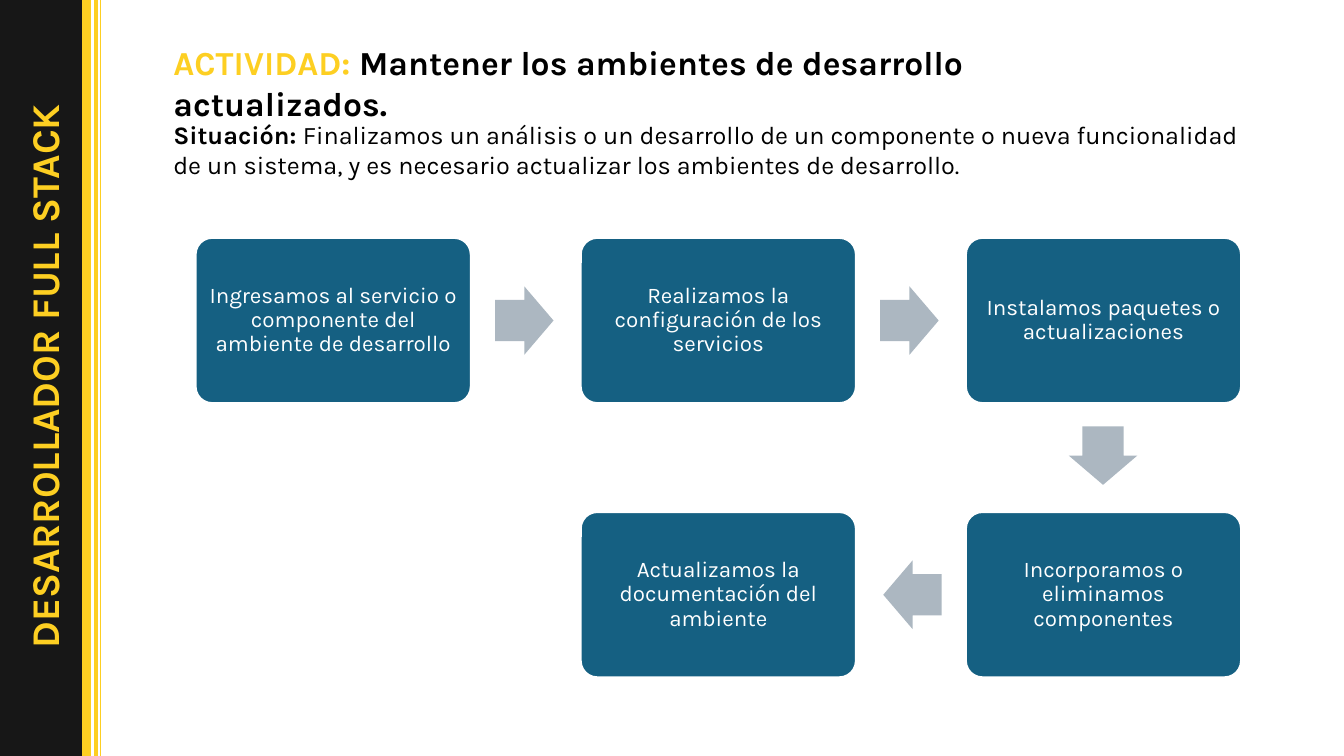
from pptx import Presentation
from pptx.dml.color import RGBColor
from pptx.enum.shapes import MSO_CONNECTOR, MSO_SHAPE
from pptx.enum.text import MSO_ANCHOR, MSO_AUTO_SIZE, PP_ALIGN
from pptx.oxml.ns import qn
from pptx.util import Inches, Pt
from lxml.etree import SubElement

FONT = "Karla"
COLORS = {
    "black": "000000",
    "white": "FFFFFF",
    "band": "171717",
    "yellow": "FDCF22",
    "step": "156082",
    "arrow": "ACB7C1",
}

# Step grid
GRID_LEFT, GRID_TOP = 1.94, 2.36
COLUMN_PITCH, ROW_PITCH = 3.82, 2.72
STEP_WIDTH, STEP_HEIGHT = 2.73, 1.64
ARROW_WIDTH, ARROW_HEIGHT = 0.58, 0.68

# Text, column, row
STEPS = [
    ("Ingresamos al servicio o componente del ambiente de desarrollo", 0, 0),
    ("Realizamos la configuración de los servicios", 1, 0),
    ("Instalamos paquetes o actualizaciones", 2, 0),
    ("Incorporamos o eliminamos componentes", 2, 1),
    ("Actualizamos la documentación del ambiente", 1, 1),
]

# Left, top, rotation
ARROWS = [(4.91, 2.84, 0), (8.73, 2.84, 0), (10.65, 4.18, 90), (8.76, 5.56, 180)]

# Horizontal position, width in points
STRIPES = [(0.86, 6), (0.95, 3), (1, 0.5)]


def color(name):
    return RGBColor.from_string(COLORS[name])


def style_font(font, size, color_name, bold=False):
    font.name = FONT
    font.size = Pt(size)
    font.bold = bold
    font.color.rgb = color(color_name)


def add_block(slide, kind, left, top, width, height, fill, line=None):
    shape = slide.shapes.add_shape(
        kind, Inches(left), Inches(top), Inches(width), Inches(height))
    shape.shadow.inherit = False
    shape.fill.solid()
    shape.fill.fore_color.rgb = color(fill)
    if line:
        shape.line.color.rgb = color(line)
        shape.line.width = Pt(1.5)
    else:
        shape.line.fill.background()
    return shape


def add_stripe(slide, x, width):
    stripe = slide.shapes.add_connector(
        MSO_CONNECTOR.STRAIGHT, Inches(x), Inches(0), Inches(x), Inches(7.5))
    stripe.line.color.rgb = color("yellow")
    stripe.line.width = Pt(width)
    SubElement(stripe._element.spPr, qn("a:effectLst"))


def add_text_box(slide, left, top, width, height):
    box = slide.shapes.add_textbox(
        Inches(left), Inches(top), Inches(width), Inches(height))
    box.text_frame.word_wrap = True
    return box


def add_runs(paragraph, size, runs):
    for text, color_name, bold in runs:
        run = paragraph.add_run()
        run.text = text
        style_font(run.font, size, color_name, bold)


def add_sidebar(slide):
    add_block(slide, MSO_SHAPE.RECTANGLE, 0, 0, 0.89, 7.5, "band", "band")
    for x, width in STRIPES:
        add_stripe(slide, x, width)
    label = add_text_box(slide, -3.06, 3.45, 7, 0.57)
    label.rotation = 270
    paragraph = label.text_frame.paragraphs[0]
    paragraph.text = "DESARROLLADOR FULL STACK"
    paragraph.alignment = PP_ALIGN.CENTER
    style_font(paragraph.font, 28, "yellow", True)


def format_title(slide):
    title = slide.shapes.title
    title.left, title.top = Inches(1.62), Inches(0.37)
    title.width, title.height = Inches(9.93), Inches(0.9)
    frame = title.text_frame
    frame.word_wrap = True
    frame.auto_size = MSO_AUTO_SIZE.NONE
    frame.vertical_anchor = MSO_ANCHOR.TOP
    paragraph = frame.paragraphs[0]
    paragraph.alignment = PP_ALIGN.LEFT
    add_runs(paragraph, 24, [
        ("ACTIVIDAD: ", "yellow", True),
        ("Mantener los ambientes de desarrollo actualizados.", "black", True),
    ])


def add_situation(slide):
    box = add_text_box(slide, 1.62, 1.13, 11.02, 0.71)
    add_runs(box.text_frame.paragraphs[0], 18, [
        ("Situación: ", "black", True),
        ("Finalizamos un análisis o un desarrollo de un componente o nueva "
         "funcionalidad de un sistema, y es necesario actualizar los "
         "ambientes de desarrollo.", "black", False),
    ])


def add_step(slide, text, column, row):
    step = add_block(
        slide, MSO_SHAPE.ROUNDED_RECTANGLE,
        GRID_LEFT + column * COLUMN_PITCH, GRID_TOP + row * ROW_PITCH,
        STEP_WIDTH, STEP_HEIGHT, "step", "white")
    step.adjustments[0] = 0.1
    frame = step.text_frame
    frame.word_wrap = True
    frame.vertical_anchor = MSO_ANCHOR.MIDDLE
    frame.margin_left = frame.margin_right = Inches(0.07)
    frame.margin_top = frame.margin_bottom = Inches(0.07)
    paragraph = frame.paragraphs[0]
    paragraph.text = text
    paragraph.alignment = PP_ALIGN.CENTER
    paragraph.line_spacing = 0.9
    style_font(paragraph.font, 16, "white")


def add_arrow(slide, left, top, rotation):
    arrow = add_block(slide, MSO_SHAPE.RIGHT_ARROW, left, top,
                      ARROW_WIDTH, ARROW_HEIGHT, "arrow")
    arrow.adjustments[0] = 0.6
    arrow.adjustments[1] = 0.5
    arrow.rotation = rotation


def main():
    presentation = Presentation()
    presentation.slide_width = Inches(13.33)
    presentation.slide_height = Inches(7.5)
    slide = presentation.slides.add_slide(presentation.slide_layouts[5])

    # Sidebar and heading
    add_sidebar(slide)
    format_title(slide)
    add_situation(slide)

    # Process flow
    for text, column, row in STEPS:
        add_step(slide, text, column, row)
    for left, top, rotation in ARROWS:
        add_arrow(slide, left, top, rotation)

    presentation.save("out.pptx")


if __name__ == "__main__":
    main()
